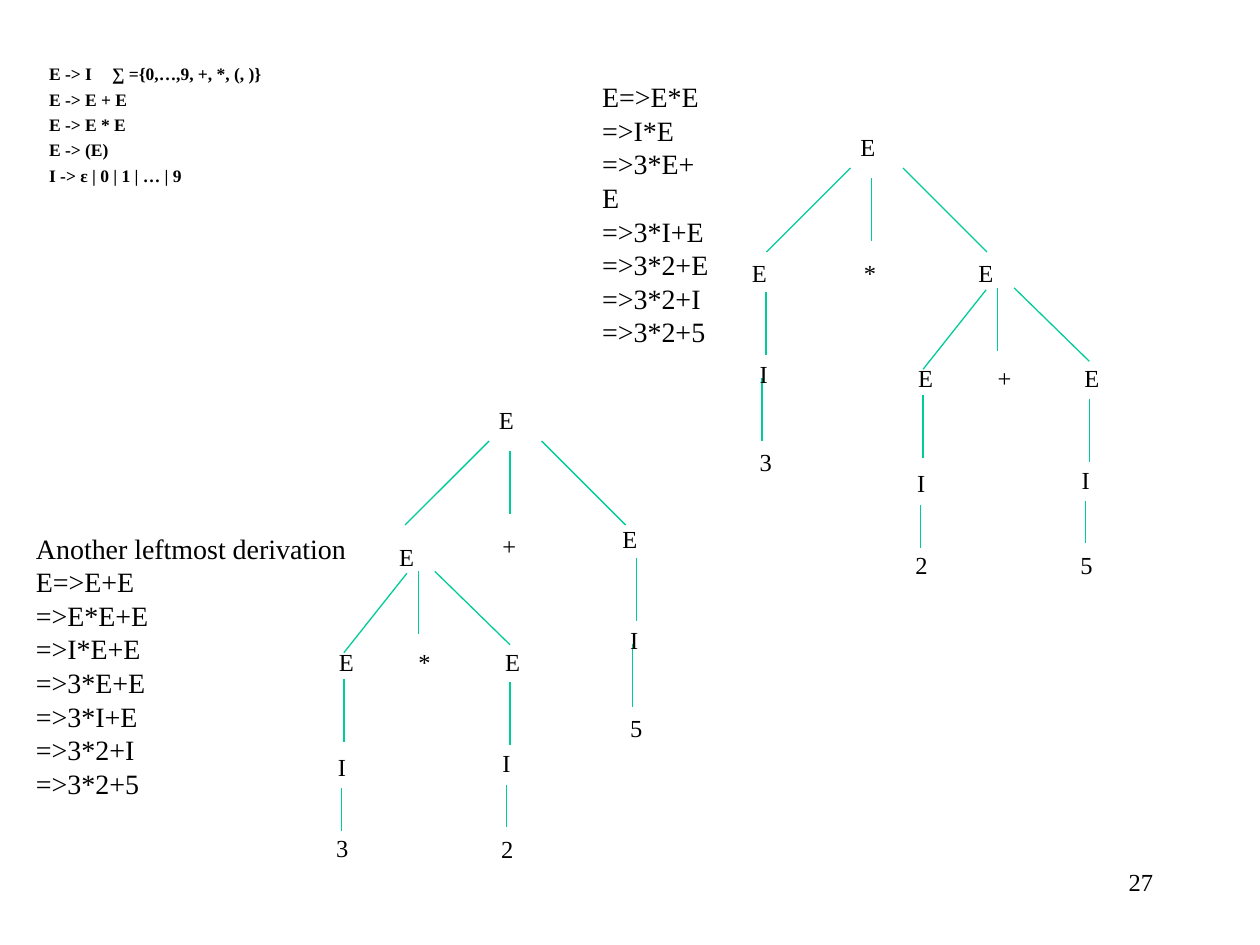
from lxml import etree
from pptx import Presentation
from pptx.dml.color import RGBColor
from pptx.enum.shapes import MSO_CONNECTOR
from pptx.enum.text import MSO_AUTO_SIZE, PP_ALIGN
from pptx.oxml.ns import qn
from pptx.util import Pt

STRAIGHT = MSO_CONNECTOR.STRAIGHT
FIT_SHAPE = MSO_AUTO_SIZE.SHAPE_TO_FIT_TEXT
LEFT, RIGHT = PP_ALIGN.LEFT, PP_ALIGN.RIGHT

FONT = "Times New Roman"
BLACK, GREEN = "000000", "00CC98"
NODE_HEIGHT = 24.5
NODE_WIDTHS = {"E": 23, "I": 19, "+": 22.3}
DIGIT_WIDTH = 21.4

# Chain below an E: edge (x, top, bottom), I (x, y), edge, leaf (x, y)
ROOT_CHAIN = ((15.2, 23, 59), (4.5, 57.5), (13, 72, 108), (4.5, 108))
LEFT_CHAIN = ((10, 22, 58), (-0.5, 60), (8.5, 84.5, 109), (-1.5, 106.5))
RIGHT_CHAIN = ((10, 24, 60), (-1.5, 58), (8, 82.5, 106.5), (-2.2, 107))

# Edges below an E with three children: (x1, y1, x2, y2)
ROOT_EDGES = ((1.5, 24, -46.5, 72), (13.5, 30, 13.5, 66), (31.5, 24, 79.5, 72))
INNER_EDGES = ((11.5, 21.6, -24.5, 67), (18, 20.5, 18, 56.5),
               (27.5, 20.5, 70.5, 62.5))

GRAMMAR = ["E -> I\t∑ ={0,…,9, +, *, (, )}", "E -> E + E", "E -> E * E",
           "E -> (E)", "I -> ε | 0 | 1 | … | 9"]
FIRST_DERIVATION = ["E=>E*E", "=>I*E", "=>3*E+E", "=>3*I+E", "=>3*2+E",
                    "=>3*2+I", "=>3*2+5"]
SECOND_DERIVATION = ["Another leftmost derivation", "E=>E+E", "=>E*E+E",
                     "=>I*E+E", "=>3*E+E", "=>3*I+E", "=>3*2+I", "=>3*2+5"]


def rgb(value):
    return RGBColor.from_string(value)


def add_text(s, box, lines, size, bold=False, align=LEFT, wrap=False, gap=0):
    sp = s.shapes.add_textbox(*(Pt(v) for v in box))
    tf = sp.text_frame
    tf.word_wrap = wrap
    if not wrap:
        tf.auto_size = FIT_SHAPE
    tf.text = "\n".join(lines)
    for i, p in enumerate(tf.paragraphs):
        p.alignment = align
        if gap and i:
            p.space_before = Pt(gap)
        for r in p.runs:
            r.font.name = FONT
            r.font.size = Pt(size)
            r.font.bold = bold
            r.font.color.rgb = rgb(BLACK)


def add_node(s, x, y, symbol):
    width = NODE_WIDTHS.get(symbol, DIGIT_WIDTH)
    add_text(s, (x, y, width, NODE_HEIGHT), [symbol], 14)


def add_edge(s, x1, y1, x2, y2):
    line = s.shapes.add_connector(STRAIGHT, Pt(x1), Pt(y1), Pt(x2), Pt(y2))
    line.line.color.rgb = rgb(GREEN)
    line.line.width = Pt(0.75)
    etree.SubElement(line._element.spPr, qn("a:effectLst"))


def add_fork(s, x, y, edges):
    add_node(s, x, y, "E")
    for x1, y1, x2, y2 in edges:
        add_edge(s, x + x1, y + y1, x + x2, y + y2)


def add_chain(s, x, y, leaf, offsets):
    """E over I over a digit, from the top left of the E."""
    upper, middle, lower, bottom = offsets
    add_node(s, x, y, "E")
    for dx, top, end in (upper, lower):
        add_edge(s, x + dx, y + top, x + dx, y + end)
    for symbol, (dx, dy) in (("I", middle), (leaf, bottom)):
        add_node(s, x + dx, y + dy, symbol)


def add_inner_tree(s, x, y, operator, left, right):
    add_fork(s, x, y, INNER_EDGES)
    add_chain(s, x - 34.5, y + 60, left, LEFT_CHAIN)
    add_node(s, x + 11, y + 60, operator)
    add_chain(s, x + 60.5, y + 60, right, RIGHT_CHAIN)


def add_parse_tree(s, root, operator, chain, inner):
    """chain is (x, y, leaf); inner is (x, y, operator, left, right)."""
    x, y = root
    add_fork(s, x, y, ROOT_EDGES)
    add_node(s, x + 2, y + 72, operator)
    add_chain(s, *chain, ROOT_CHAIN)
    add_inner_tree(s, *inner)


def main():
    prs = Presentation()
    prs.slide_width, prs.slide_height = Pt(720), Pt(540)
    s = prs.slides.add_slide(prs.slide_layouts[6])

    # Grammar and slide number
    add_text(s, (21, 32.5, 186, 90), GRAMMAR, 10, bold=True, wrap=True, gap=2.5)
    add_text(s, (516, 492, 150, 36), ["27"], 14, align=RIGHT, wrap=True)

    # First derivation and its tree
    add_text(s, (337, 42, 76.5, 142), FIRST_DERIVATION, 16)
    add_parse_tree(s, (484.5, 72), "*", (422.5, 144, "3"),
                   (552, 144, "+", "2", "5"))

    # Second derivation and its tree
    add_text(s, (13.5, 300, 191.5, 161.5), SECOND_DERIVATION, 16)
    add_parse_tree(s, (278, 228), "+", (348.5, 296, "5"),
                   (221, 306, "*", "3", "2"))

    prs.save("out.pptx")


if __name__ == "__main__":
    main()
